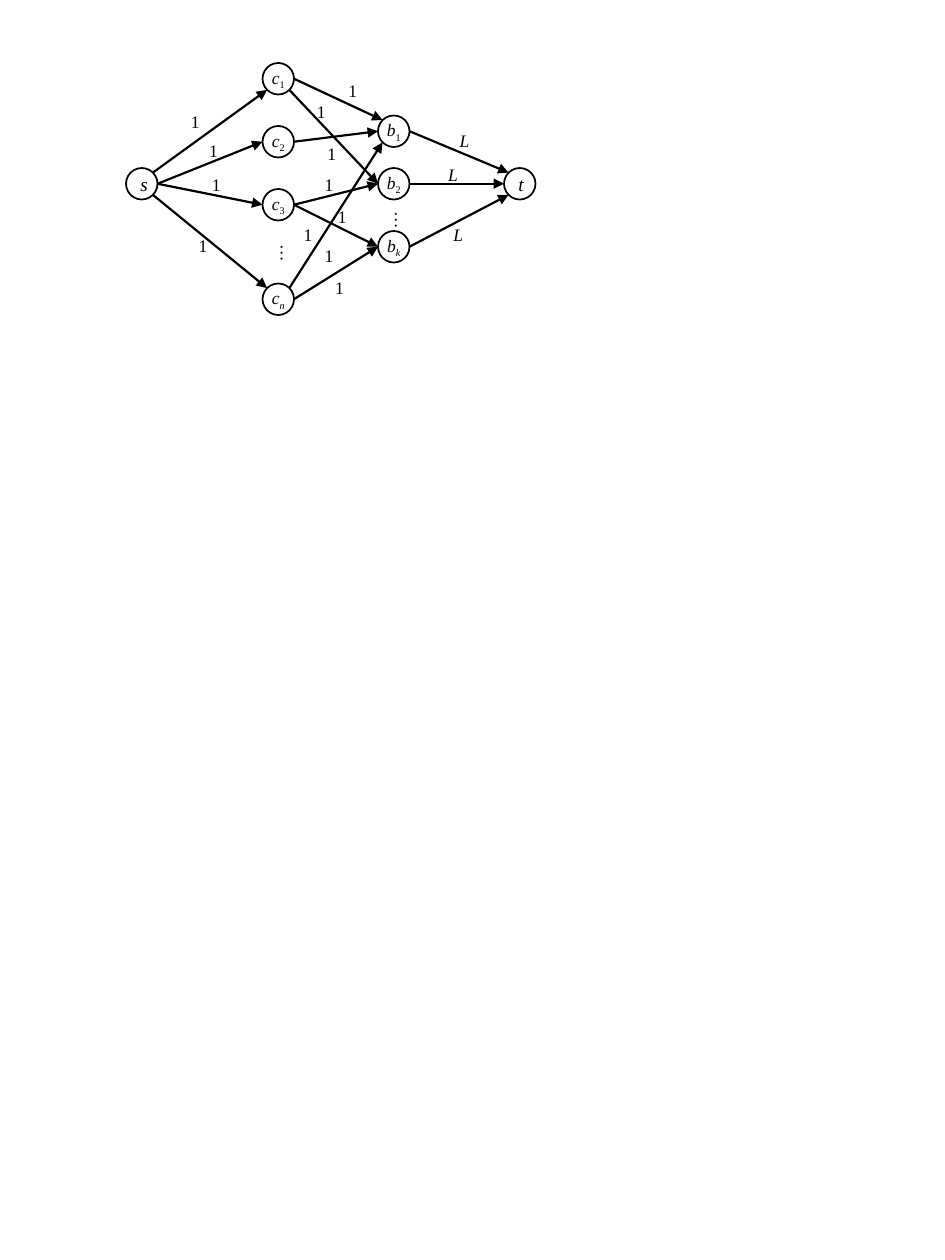
from math import cos, radians, sin

from lxml import etree
from pptx import Presentation
from pptx.dml.color import RGBColor
from pptx.enum import shapes, text
from pptx.oxml.ns import qn
from pptx.util import Inches, Pt

THEME = {
    "ink": RGBColor(0, 0, 0),
    "font": "Times New Roman",
    "label": Pt(10),
    "terminal": Pt(11),
    "outline": Pt(1),
    "arrow": Pt(1.25),
}

deck = Presentation()
deck.slide_width, deck.slide_height = Inches(7.5), Inches(10)
page = deck.slides.add_slide(deck.slide_layouts[6])
CELL = deck.slide_width // 90
DIAMETER = 3


def cells(*counts):
    return [round(count * CELL) for count in counts]


def write(box, words, size, italic, subscript="", **frame_format):
    for name, value in frame_format.items():
        setattr(box.text_frame, name, value)
    para = box.text_frame.paragraphs[0]
    para.alignment = text.PP_ALIGN.CENTER if subscript or size == THEME["terminal"] else text.PP_ALIGN.LEFT
    for part in filter(None, (words, subscript)):
        span = para.add_run()
        span.text = part
        style = {"name": THEME["font"], "size": size, "italic": italic and not part.isdigit()}
        for name, value in style.items():
            setattr(span.font, name, value)
        span.font.color.rgb = THEME["ink"]
        if part == subscript:
            span.font._element.set("baseline", "-25000")


nodes = {
    "s": (12, 16), "t": (48, 16),
    "c1": (25, 6), "c2": (25, 12), "c3": (25, 18), "cn": (25, 27),
    "b1": (36, 11), "b2": (36, 16), "bk": (36, 22),
}
for name, (column, row) in nodes.items():
    circle = page.shapes.add_shape(shapes.MSO_SHAPE.OVAL, *cells(column, row, DIAMETER, DIAMETER))
    circle.shadow.inherit = False
    circle.fill.background()
    circle.line.color.rgb = THEME["ink"]
    circle.line.width = THEME["outline"]
    terminal = len(name) == 1
    write(circle, name[0], THEME["terminal" if terminal else "label"], True, name[1:],
          word_wrap=terminal, vertical_anchor=text.MSO_ANCHOR.MIDDLE)

RIGHT, LOWER_RIGHT, LOWER_LEFT, LEFT, UPPER_LEFT, UPPER_RIGHT = 0, 45, 135, 180, 225, 315
edges = [
    ("s", UPPER_RIGHT, "c1", LOWER_LEFT), ("s", RIGHT, "c2", LEFT),
    ("s", RIGHT, "c3", LEFT), ("s", LOWER_RIGHT, "cn", UPPER_LEFT),
    ("c1", RIGHT, "b1", UPPER_LEFT), ("c1", LOWER_RIGHT, "b2", LEFT),
    ("c2", RIGHT, "b1", LEFT), ("c3", RIGHT, "b2", LEFT),
    ("c3", RIGHT, "bk", LEFT), ("cn", UPPER_RIGHT, "b1", LOWER_LEFT),
    ("cn", RIGHT, "bk", LEFT), ("b1", RIGHT, "t", UPPER_LEFT),
    ("b2", RIGHT, "t", LEFT), ("bk", RIGHT, "t", LOWER_LEFT),
]
for source, leaving, target, arriving in edges:
    ends = []
    for name, angle in ((source, leaving), (target, arriving)):
        column, row = nodes[name]
        radius = DIAMETER / 2
        ends += cells(column + radius * (1 + cos(radians(angle))),
                      row + radius * (1 + sin(radians(angle))))
    arrow = page.shapes.add_connector(shapes.MSO_CONNECTOR.STRAIGHT, *ends)
    arrow.line.color.rgb = THEME["ink"]
    arrow.line.width = THEME["arrow"]
    etree.SubElement(arrow.line._get_or_add_ln(), qn("a:tailEnd"), type="triangle")
    etree.SubElement(arrow._element.spPr, qn("a:effectLst"))

labels = {
    "1": [(17, 10), (18.75, 12.75), (19, 16), (17.75, 21.75), (32, 7), (30, 13),
          (29, 9), (29.75, 16), (31, 19), (27.75, 20.75), (30.75, 25.75), (29.75, 22.75)],
    "L": [(42.6, 11.75), (41.5, 15), (42, 20.75)],
    "…": [(24.6, 22.1), (35.5, 19)],
}
sizes = {"1": (3.25, 3.25), "L": (3.5, 3.25), "…": (4.4, 2.9)}
for words, places in labels.items():
    for place in places:
        box = page.shapes.add_textbox(*cells(*place, *sizes[words]))
        write(box, words, THEME["label"], words == "L",
              word_wrap=False, auto_size=text.MSO_AUTO_SIZE.SHAPE_TO_FIT_TEXT)
        if words == "…":
            box.text_frame._txBody.bodyPr.set("vert", "eaVert")

deck.save("out.pptx")
